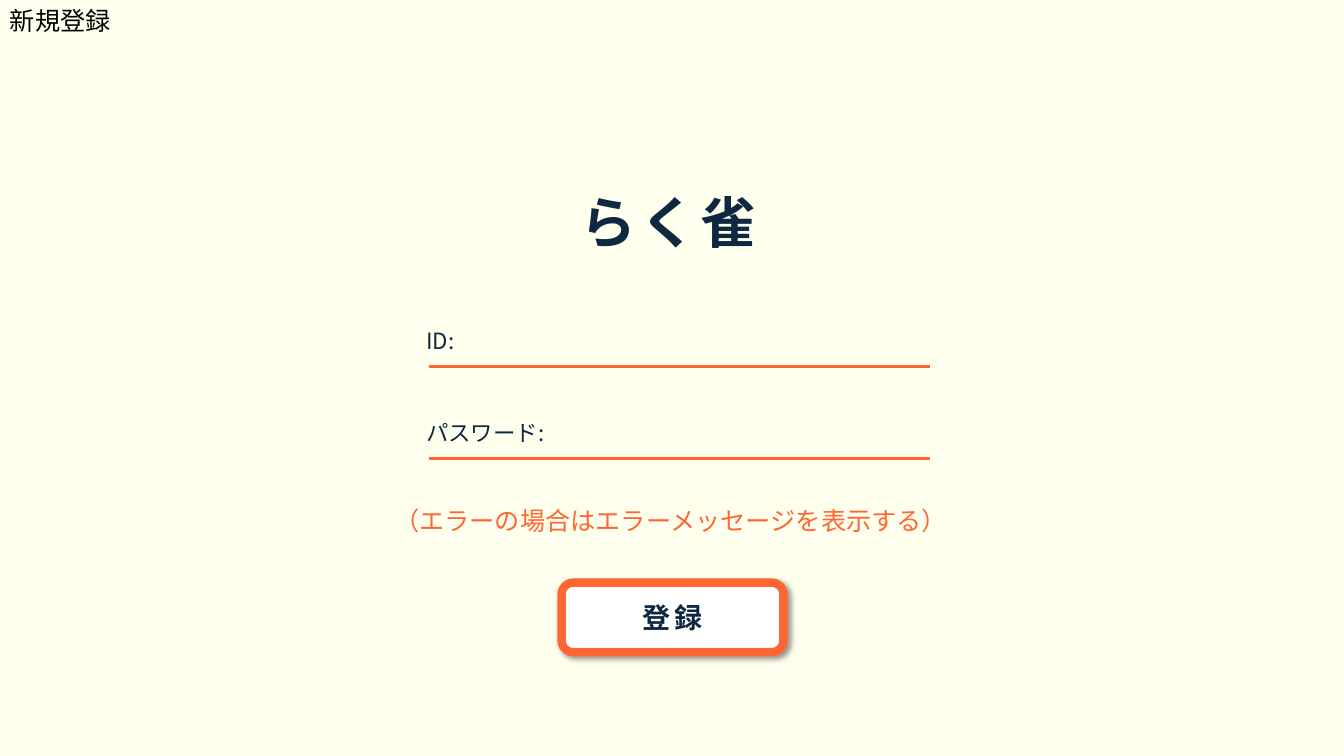
from lxml import etree
from pptx import Presentation
from pptx.dml.color import RGBColor
from pptx.enum.shapes import MSO_CONNECTOR, MSO_SHAPE
from pptx.enum.text import MSO_ANCHOR, MSO_AUTO_SIZE, PP_ALIGN
from pptx.oxml.ns import qn
from pptx.util import Inches, Pt

LINE = MSO_CONNECTOR.STRAIGHT
BUTTON = MSO_SHAPE.FLOWCHART_ALTERNATE_PROCESS
MIDDLE = MSO_ANCHOR.MIDDLE
GROW = MSO_AUTO_SIZE.SHAPE_TO_FIT_TEXT
CENTER = PP_ALIGN.CENTER

FACE = "Noto Sans CJK JP"
CREAM, WHITE, BLACK = "FFFFEE", "FFFFFF", "000000"
ORANGE, NAVY = "FF6633", "0E2841"


def color(code):
    return RGBColor.from_string(code)


class Screen:
    def __init__(self, slide, face):
        self.slide = slide
        self.face = face

    def paint(self, code):
        fill = self.slide.background.fill
        fill.solid()
        fill.fore_color.rgb = color(code)

    def label(self, frame, words, size, code, bold=False, gap=0):
        """Put one run in the frame; gap is letter spacing in points."""
        run = frame.paragraphs[0].add_run()
        run.text = words
        style = {"name": self.face, "size": Pt(size), "bold": bold}
        for key, value in style.items():
            setattr(run.font, key, value)
        run.font.color.rgb = color(code)
        props = run._r.get_or_add_rPr()
        etree.SubElement(props, qn("a:ea"), typeface=self.face)
        if gap:
            props.set("spc", str(gap * 100))

    def text(self, box, words, size, code, wrap=False, **style):
        frame = self.slide.shapes.add_textbox(*map(Inches, box)).text_frame
        frame.word_wrap = wrap
        frame.auto_size = GROW
        self.label(frame, words, size, code, **style)

    def rule(self, left, right, y, code, width):
        line = self.slide.shapes.add_connector(
            LINE, Inches(left), Inches(y), Inches(right), Inches(y))
        line.line.color.rgb = color(code)
        line.line.width = Pt(width)
        etree.SubElement(line._element.spPr, qn("a:effectLst"))

    def button(self, box, words, size, code, edge, width, **style):
        shape = self.slide.shapes.add_shape(BUTTON, *map(Inches, box))
        shape.fill.solid()
        shape.fill.fore_color.rgb = color(WHITE)
        shape.line.color.rgb = color(edge)
        shape.line.width = Pt(width)
        self.shade(shape)
        frame = shape.text_frame
        frame.vertical_anchor = MIDDLE
        frame.paragraphs[0].alignment = CENTER
        self.label(frame, words, size, code, **style)

    def shade(self, shape):
        """Cast a soft shadow to the lower right."""
        shape.shadow.inherit = False
        effects = shape._element.spPr.find(qn("a:effectLst"))
        shadow = etree.SubElement(
            effects, qn("a:outerShdw"), blurRad=str(Pt(4)), dist=str(Pt(3)),
            dir=str(45 * 60000), algn="tl", rotWithShape="0")
        tint = etree.SubElement(shadow, qn("a:srgbClr"), val=BLACK)
        etree.SubElement(tint, qn("a:alpha"), val="40000")


def main():
    deck = Presentation()
    deck.slide_width, deck.slide_height = Inches(13.33), Inches(7.5)
    screen = Screen(deck.slides.add_slide(deck.slide_layouts[6]), FACE)
    screen.paint(CREAM)

    screen.text((0, 0, 1.21, 0.4), "新規登録", 18, BLACK)
    screen.text((5.66, 1.81, 2.01, 0.77), "らく雀", 40, NAVY, bold=True, gap=3)

    fields = [("ID:", 0.56), ("パスワード:", 1.42)]
    for row, (name, width) in enumerate(fields):
        top = 3.2 + row * 0.91
        screen.rule(4.25, 9.22, top + 0.44, ORANGE, 2)
        screen.text((4.13, top, width, 0.37), name, 16, NAVY)

    screen.text((3.81, 4.96, 5.71, 0.4),
                "（エラーの場合はエラーメッセージを表示する）", 18, ORANGE, wrap=True)
    screen.button((5.57, 5.78, 2.2, 0.69), "登録", 20, NAVY, ORANGE, 6,
                  bold=True, gap=3)
    deck.save("out.pptx")


if __name__ == "__main__":
    main()
